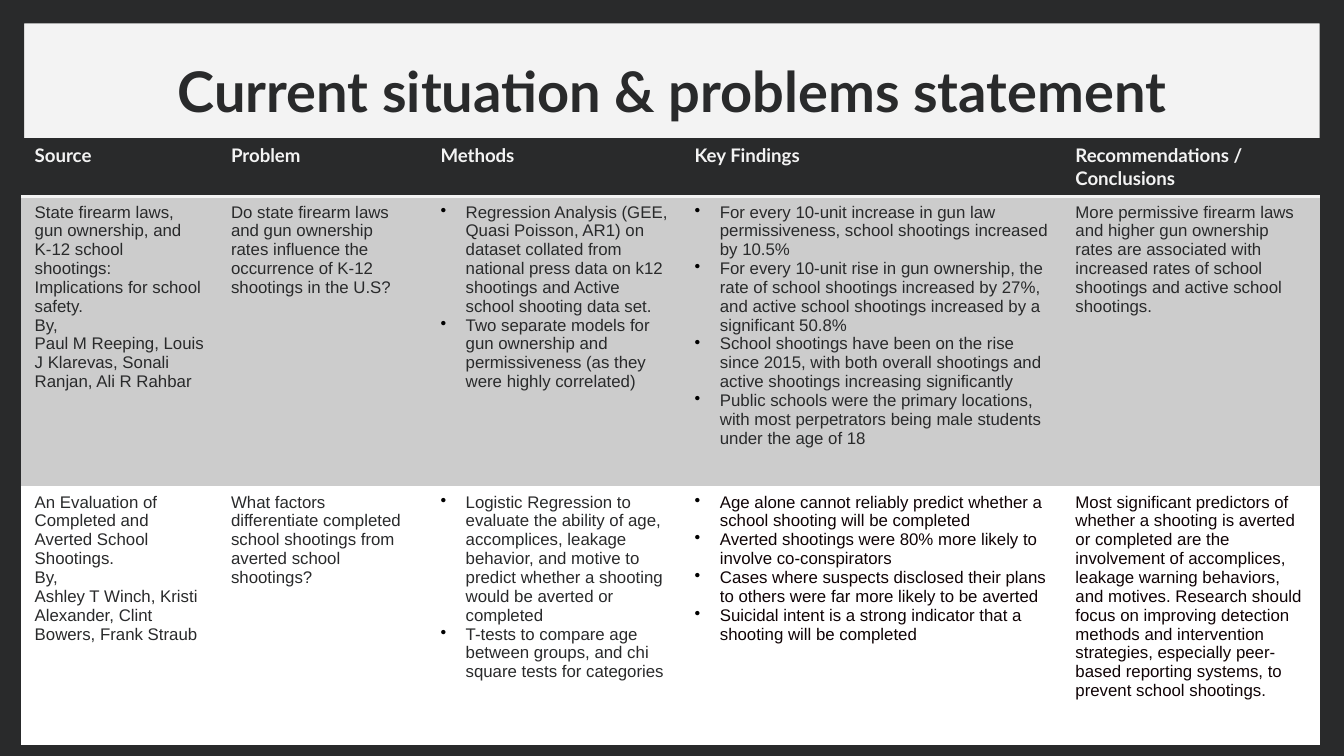
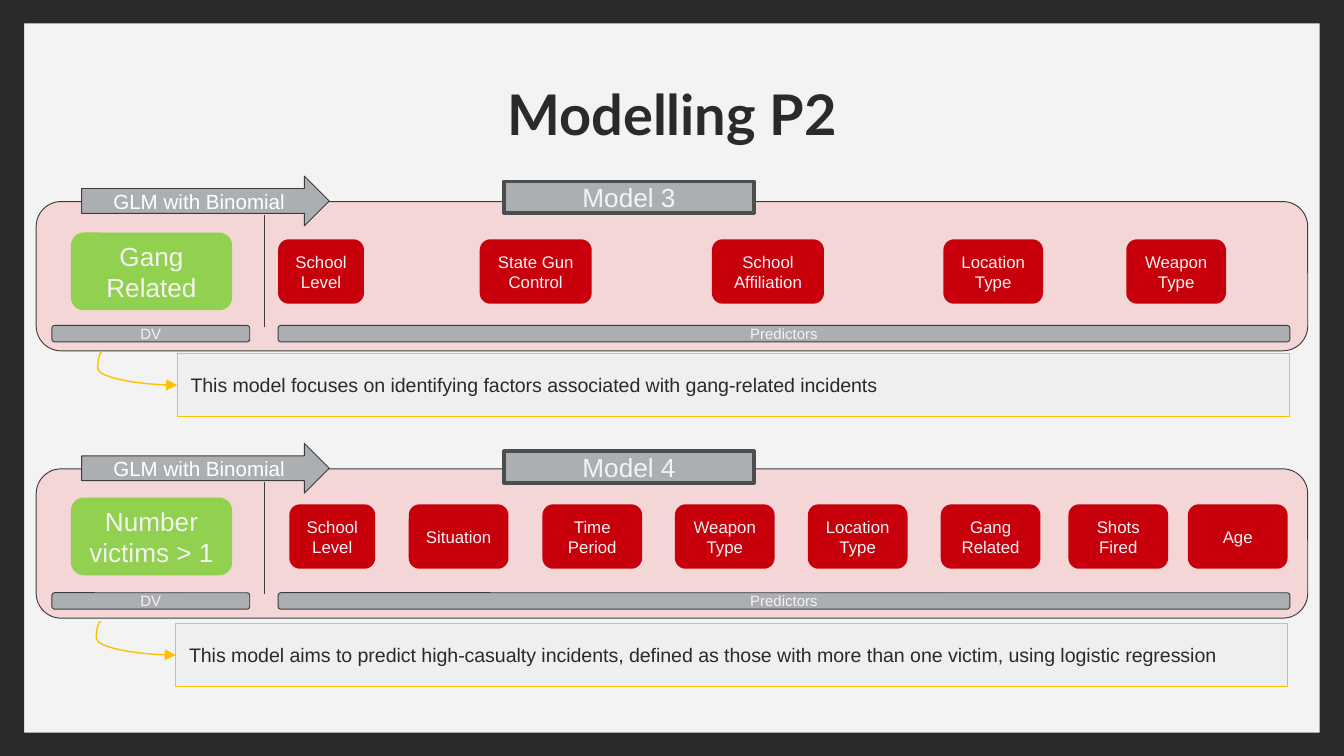
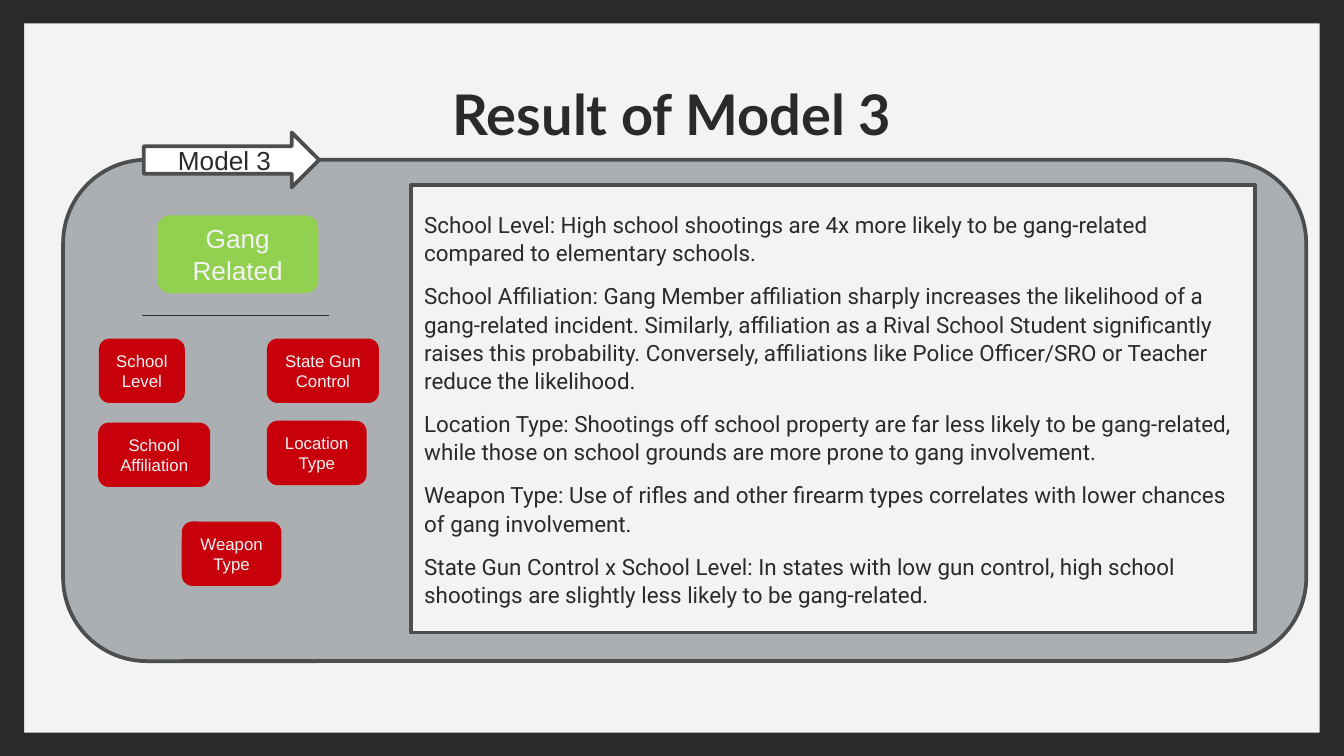
from dataclasses import dataclass
from typing import NamedTuple, Optional

from lxml import etree
from pptx import Presentation
from pptx.dml.color import RGBColor
from pptx.enum.shapes import MSO_CONNECTOR, MSO_SHAPE
from pptx.enum.text import MSO_ANCHOR, PP_ALIGN
from pptx.oxml.ns import qn
from pptx.shapes.autoshape import Shape
from pptx.shapes.connector import Connector
from pptx.slide import Slide
from pptx.table import _Cell
from pptx.text.text import _Paragraph
from pptx.util import Pt

ROUNDED, RECTANGLE = MSO_SHAPE.ROUNDED_RECTANGLE, MSO_SHAPE.RECTANGLE
ARROW, FRAME = MSO_SHAPE.RIGHT_ARROW, MSO_SHAPE.FRAME
STRAIGHT, CURVE = MSO_CONNECTOR.STRAIGHT, MSO_CONNECTOR.CURVE
LEFT, CENTER = PP_ALIGN.LEFT, PP_ALIGN.CENTER
TOP, MIDDLE = MSO_ANCHOR.TOP, MSO_ANCHOR.MIDDLE
NO_GRID_STYLE = "{2D5ABB26-0587-4C30-8999-92F81FD0307C}"


@dataclass(frozen=True)
class Theme:
    """Colours, fonts and type sizes of the deck."""

    ink: str = "292A2B"
    paper: str = "F3F3F3"
    white: str = "FFFFFF"
    black: str = "000000"
    near_black: str = "0F0305"
    silver: str = "CCCCCC"
    steel: str = "ACAFB2"
    outline: str = "3D3D3D"
    heavy_outline: str = "4B4D4E"
    pink: str = "F4D6D6"
    red: str = "C7000C"
    green: str = "92D050"
    note: str = "EEEFF0"
    amber: str = "FFC000"
    heading_font: str = "Lato"
    body_font: str = "Arial"
    result_font: str = "Roboto"
    title_size: float = 30
    label_size: float = 14
    result_size: float = 12
    method_size: float = 11
    note_size: float = 10.5
    header_size: float = 10
    small_size: float = 9
    bar_size: float = 8


THEME = Theme()


class Box(NamedTuple):
    """Position and size in points."""

    left: float
    top: float
    width: float
    height: float


class TextStyle(NamedTuple):
    """Look of a paragraph."""

    size: float
    color: str = THEME.paper
    font: str = THEME.body_font
    bold: bool = False
    align: PP_ALIGN = CENTER


class Look(NamedTuple):
    """Preset, fill and outline of a shape."""

    preset: MSO_SHAPE
    fill: str
    line: Optional[str] = None
    line_width: float = 0.5


class Chip(NamedTuple):
    """A predictor label and its left edge."""

    label: str
    left: float


class ModelBlock(NamedTuple):
    """One model panel with its outcome, predictors and note."""

    name: str
    top: float
    tag_offset: float
    content_offset: float
    outcome: str
    chips: tuple[Chip, ...]
    note: str
    note_left: float
    note_offset: float


class CellText(NamedTuple):
    """Paragraphs of a table cell."""

    lines: tuple[str, ...]
    bulleted: bool = False
    color: str = THEME.ink


TITLE = TextStyle(THEME.title_size, THEME.ink, THEME.heading_font, True)
HEADER = TextStyle(THEME.header_size, THEME.paper, THEME.heading_font, True, LEFT)
RESULT = TextStyle(THEME.result_size, THEME.ink, THEME.result_font, align=LEFT)
NOTE = TextStyle(THEME.note_size, THEME.ink, align=LEFT)
LABEL = TextStyle(THEME.label_size)
DARK_LABEL = TextStyle(THEME.label_size, THEME.ink)
METHOD = TextStyle(THEME.method_size, THEME.white)
BAR = TextStyle(THEME.bar_size)
CHIP = TextStyle(THEME.small_size)

PANEL_LOOK = Look(ROUNDED, THEME.pink, THEME.outline)
METHOD_LOOK = Look(ARROW, THEME.steel, THEME.outline)
BAR_LOOK = Look(ROUNDED, THEME.steel, THEME.outline)
TAG_LOOK = Look(RECTANGLE, THEME.steel, THEME.heavy_outline, 2)
NOTE_LOOK = Look(RECTANGLE, THEME.note, THEME.amber)
OUTCOME_LOOK = Look(ROUNDED, THEME.green)
CHIP_LOOK = Look(ROUNDED, THEME.red)
RESULT_PANEL_LOOK = Look(ROUNDED, THEME.steel, THEME.heavy_outline, 2)
RESULT_ARROW_LOOK = Look(ARROW, THEME.white, THEME.heavy_outline, 2)
RESULT_LOOK = Look(RECTANGLE, THEME.paper, THEME.heavy_outline, 2)

CHIP_WIDTHS = {"School Level": 46, "State Gun Control": 60, "School Affiliation": 60}
CHIP_WIDTH, CHIP_HEIGHT = 53.4, 34.5
OUTCOME_WIDTH, OUTCOME_HEIGHT = 86.4, 41.6

COLUMN_WIDTHS = (105.2, 112.2, 136.2, 204, 138.4)
ROW_HEIGHTS = (31, 155.4, 138.6)
ROW_FILLS = (THEME.silver, THEME.white)
HEADINGS = ("Source", "Problem", "Methods", "Key Findings", "Recommendations / Conclusions")
STUDIES = (
    (
        CellText((
            "State firearm laws, gun ownership, and K-12 school shootings: Implications for school safety.",
            "By,",
            "Paul M Reeping, Louis J Klarevas, Sonali Ranjan, Ali R Rahbar",
        )),
        CellText(("Do state firearm laws and gun ownership rates influence the occurrence of K-12 shootings in the U.S?",)),
        CellText((
            "Regression Analysis (GEE, Quasi Poisson, AR1) on dataset collated from national press data on k12 shootings and Active school shooting data set.",
            "Two separate models for gun ownership and permissiveness (as they were highly correlated)",
        ), True),
        CellText((
            "For every 10-unit increase in gun law permissiveness, school shootings increased by 10.5%",
            "For every 10-unit rise in gun ownership, the rate of school shootings increased by 27%, and active school shootings increased by a significant 50.8%",
            "School shootings have been on the rise since 2015, with both overall shootings and active shootings increasing significantly",
            "Public schools were the primary locations, with most perpetrators being male students under the age of 18",
        ), True),
        CellText(("More permissive firearm laws and higher gun ownership rates are associated with increased rates of school shootings and active school shootings.",)),
    ),
    (
        CellText((
            "An Evaluation of Completed and Averted School Shootings.",
            "By,",
            "Ashley T Winch, Kristi Alexander, Clint Bowers, Frank Straub",
        )),
        CellText(("What factors differentiate completed school shootings from averted school shootings?",)),
        CellText((
            "Logistic Regression to evaluate the ability of age, accomplices, leakage behavior, and motive to predict whether a shooting would be averted or completed",
            "T-tests to compare age between groups, and chi square tests for categories",
        ), True),
        CellText((
            "Age alone cannot reliably predict whether a school shooting will be completed",
            "Averted shootings were 80% more likely to involve co-conspirators",
            "Cases where suspects disclosed their plans to others were far more likely to be averted",
            "Suicidal intent is a strong indicator that a shooting will be completed",
        ), True, THEME.near_black),
        CellText((
            "Most significant predictors of whether a shooting is averted or completed are the involvement of accomplices, leakage warning behaviors, and motives. Research should focus on improving detection methods and intervention strategies, especially peer-based reporting systems, to prevent school shootings.",
        ), color=THEME.near_black),
    ),
)

MODELS = (
    ModelBlock(
        "Model 3", 108, -10.8, 16.6, "Gang Related",
        (
            Chip("School Level", 149), Chip("State Gun Control", 257),
            Chip("School Affiliation", 381.4), Chip("Location Type", 505.4),
            Chip("Weapon Type", 603.4),
        ),
        "This model focuses on identifying factors associated with gang-related incidents",
        95, 81.4,
    ),
    ModelBlock(
        "Model 4", 251.2, -9.4, 15.4, "Number victims > 1",
        (
            Chip("School Level", 155), Chip("Situation", 219), Chip("Time Period", 290.6),
            Chip("Weapon Type", 361.6), Chip("Location Type", 432.8), Chip("Gang Related", 504),
            Chip("Shots Fired", 572.4), Chip("Age", 636.4),
        ),
        "This model aims to predict high-casualty incidents, defined as those with more than one victim, using logistic regression",
        94.2, 82.8,
    ),
)

RESULT_CHIPS = (
    (Chip("School Level", 53), 181.4),
    (Chip("State Gun Control", 143), 181.4),
    (Chip("School Affiliation", 52.6), 226.4),
    (Chip("Location Type", 143), 225.4),
    (Chip("Weapon Type", 97.4), 279.4),
)
RESULTS = (
    "School Level: High school shootings are 4x more likely to be gang-related compared to elementary schools.",
    "School Affiliation: Gang Member affiliation sharply increases the likelihood of a gang-related incident. Similarly, affiliation as a Rival School Student significantly raises this probability. Conversely, affiliations like Police Officer/SRO or Teacher reduce the likelihood.",
    "Location Type: Shootings off school property are far less likely to be gang-related, while those on school grounds are more prone to gang involvement.",
    "Weapon Type: Use of rifles and other firearm types correlates with lower chances of gang involvement.",
    "State Gun Control x School Level: In states with low gun control, high school shootings are slightly less likely to be gang-related.",
)


def rgb(color: str) -> RGBColor:
    """Turn a hex string into a colour."""
    return RGBColor.from_string(color)


def format_paragraph(paragraph: _Paragraph, style: TextStyle) -> None:
    """Apply a text style to every run."""
    paragraph.alignment = style.align
    for run in paragraph.runs:
        run.font.name = style.font
        run.font.size = Pt(style.size)
        run.font.bold = style.bold
        run.font.color.rgb = rgb(style.color)


def add_bullet(paragraph: _Paragraph) -> None:
    """Give a paragraph a black hanging bullet."""
    properties = paragraph._p.get_or_add_pPr()
    properties.set("marL", str(Pt(13.5)))
    properties.set("indent", str(-Pt(13.5)))
    color = etree.SubElement(properties, qn("a:buClr"))
    etree.SubElement(color, qn("a:srgbClr"), val=THEME.black)
    etree.SubElement(properties, qn("a:buChar"), char="•")


def add_box(
    slide: Slide, box: Box, look: Look, text: str = "", style: TextStyle = LABEL
) -> Shape:
    """Draw a preset shape with optional text."""
    shape = slide.shapes.add_shape(look.preset, *map(Pt, box))
    shape.shadow.inherit = False
    shape.fill.solid()
    shape.fill.fore_color.rgb = rgb(look.fill)
    if look.line:
        shape.line.color.rgb = rgb(look.line)
        shape.line.width = Pt(look.line_width)
    else:
        shape.line.fill.background()
    if text:
        shape.text_frame.word_wrap = True
        shape.text_frame.vertical_anchor = MIDDLE
        shape.text_frame.text = text
        for paragraph in shape.text_frame.paragraphs:
            format_paragraph(paragraph, style)
    return shape


def add_line(
    slide: Slide,
    start: tuple[float, float],
    end: tuple[float, float],
    color: str,
    width: float,
    kind: MSO_CONNECTOR = STRAIGHT,
) -> Connector:
    """Draw a connector without shadow."""
    connector = slide.shapes.add_connector(kind, *map(Pt, start + end))
    connector.line.color.rgb = rgb(color)
    connector.line.width = Pt(width)
    etree.SubElement(connector._element.spPr, qn("a:effectLst"))
    return connector


def add_note_arrow(slide: Slide, note: Box) -> None:
    """Curve an arrow from the panel into the left side of its note."""
    middle = note.top + note.height / 2
    connector = add_line(
        slide, (note.left - 40.4, middle - 18), (note.left, middle), THEME.amber, 0.75, CURVE
    )
    geometry = connector._element.spPr.find(qn("a:prstGeom"))
    adjustments = geometry.find(qn("a:avLst"))
    if adjustments is None:
        adjustments = etree.SubElement(geometry, qn("a:avLst"))
    etree.SubElement(adjustments, qn("a:gd"), name="adj1", fmla="val -5500")
    line = connector._element.spPr.find(qn("a:ln"))
    etree.SubElement(line, qn("a:tailEnd"), type="triangle")


def add_outcome(slide: Slide, text: str, left: float, top: float) -> None:
    """Draw the green outcome box."""
    box = Box(left, top, OUTCOME_WIDTH, OUTCOME_HEIGHT)
    add_box(slide, box, OUTCOME_LOOK, text, LABEL)


def add_chip(slide: Slide, chip: Chip, top: float) -> None:
    """Draw a red predictor chip."""
    width = CHIP_WIDTHS.get(chip.label, CHIP_WIDTH)
    add_box(slide, Box(chip.left, top, width, CHIP_HEIGHT), CHIP_LOOK, chip.label, CHIP)


def add_framed_slide(presentation: Presentation) -> Slide:
    """Add a blank slide with the shared background and dark frame."""
    slide = presentation.slides.add_slide(presentation.slide_layouts[6])
    slide.background.fill.solid()
    slide.background.fill.fore_color.rgb = rgb(THEME.paper)
    frame = add_box(slide, Box(0, -0.5, 720, 406), Look(FRAME, THEME.ink))
    frame.adjustments[0] = 0.032
    return slide


def add_title(slide: Slide, text: str, top: float = 35.4) -> None:
    """Add the centred slide title."""
    text_frame = slide.shapes.add_textbox(Pt(56.6), Pt(top), Pt(607), Pt(45.4)).text_frame
    text_frame.word_wrap = True
    text_frame.vertical_anchor = TOP
    text_frame.margin_top = text_frame.margin_bottom = Pt(7.2)
    text_frame.text = text
    format_paragraph(text_frame.paragraphs[0], TITLE)


def fill_cell(cell: _Cell, content: CellText, fill: str, style: TextStyle) -> None:
    """Write and colour one table cell."""
    cell.fill.solid()
    cell.fill.fore_color.rgb = rgb(fill)
    cell.text_frame.text = "\n".join(content.lines)
    for paragraph in cell.text_frame.paragraphs:
        if content.bulleted:
            add_bullet(paragraph)
        format_paragraph(paragraph, style)


def underline_cell(cell: _Cell) -> None:
    """Give a header cell its light bottom border."""
    border = etree.Element(qn("a:lnB"), w=str(Pt(2)))
    solid = etree.SubElement(border, qn("a:solidFill"))
    etree.SubElement(solid, qn("a:srgbClr"), val=THEME.paper)
    cell._tc.get_or_add_tcPr().insert(0, border)


def build_situation_slide(presentation: Presentation) -> None:
    """Build the literature table."""
    slide = add_framed_slide(presentation)
    add_title(slide, "Current situation & problems statement", 23)
    box = Box(11.4, 73.8, sum(COLUMN_WIDTHS), sum(ROW_HEIGHTS))
    table = slide.shapes.add_table(len(ROW_HEIGHTS), len(HEADINGS), *map(Pt, box)).table
    table.horz_banding = False
    table._tbl.tblPr.find(qn("a:tableStyleId")).text = NO_GRID_STYLE
    for column, width in zip(table.columns, COLUMN_WIDTHS):
        column.width = Pt(width)
    for row, height in zip(table.rows, ROW_HEIGHTS):
        row.height = Pt(height)
    for index, heading in enumerate(HEADINGS):
        cell = table.cell(0, index)
        fill_cell(cell, CellText((heading,)), THEME.ink, HEADER)
        underline_cell(cell)
    for row_index, (study, fill) in enumerate(zip(STUDIES, ROW_FILLS), start=1):
        for index, content in enumerate(study):
            style = TextStyle(THEME.small_size, content.color, align=LEFT)
            fill_cell(table.cell(row_index, index), content, fill, style)


def add_model(slide: Slide, model: ModelBlock) -> None:
    """Draw one model panel and the note below it."""
    top = model.top
    add_box(slide, Box(19.4, top, 681.2, 80), PANEL_LOOK)
    add_box(slide, Box(43.8, top - 13.6, 132.6, 26.6), METHOD_LOOK, "GLM with Binomial", METHOD)
    add_line(slide, (141.8, top + 7.2), (141.8, top + 67), THEME.outline, 0.5)
    for label, left, width in (("Predictors", 149, 542), ("DV", 27.8, 106)):
        add_box(slide, Box(left, top + 66.4, width, 8.8), BAR_LOOK, label, BAR)
    content_top = top + model.content_offset
    add_outcome(slide, model.outcome, 38, content_top)
    for chip in model.chips:
        add_chip(slide, chip, content_top + 3.6)
    add_box(slide, Box(270, top + model.tag_offset, 134, 16.8), TAG_LOOK, model.name, LABEL)
    note = Box(model.note_left, top + model.note_offset, 595.6, 33.8)
    add_box(slide, note, NOTE_LOOK, model.note, NOTE)
    add_note_arrow(slide, note)


def build_modelling_slide(presentation: Presentation) -> None:
    """Build the overview of both models."""
    slide = add_framed_slide(presentation)
    add_title(slide, "Modelling P2")
    for model in MODELS:
        add_model(slide, model)


def build_result_slide(presentation: Presentation) -> None:
    """Build the findings of the third model."""
    slide = add_framed_slide(presentation)
    add_box(slide, Box(33.8, 85.6, 666, 268.6), RESULT_PANEL_LOOK)
    add_box(slide, Box(77, 71, 94, 29.4), RESULT_ARROW_LOOK, "Model 3", DARK_LABEL)
    add_title(slide, "Result of Model 3")
    findings = add_box(
        slide, Box(220.2, 99.2, 452, 239.6), RESULT_LOOK, "\n".join(RESULTS), RESULT
    )
    for paragraph in findings.text_frame.paragraphs:
        paragraph.line_spacing = 1.05
        paragraph.space_after = Pt(8)
    add_outcome(slide, "Gang Related", 84.2, 115.4)
    for chip, top in RESULT_CHIPS:
        add_chip(slide, chip, top)
    add_line(slide, (76.2, 169), (176.4, 169), THEME.ink, 0.75)


def main() -> None:
    """Build and save the deck."""
    presentation = Presentation()
    presentation.slide_width, presentation.slide_height = Pt(720), Pt(405)
    build_situation_slide(presentation)
    build_modelling_slide(presentation)
    build_result_slide(presentation)
    presentation.save("out.pptx")


if __name__ == "__main__":
    main()
